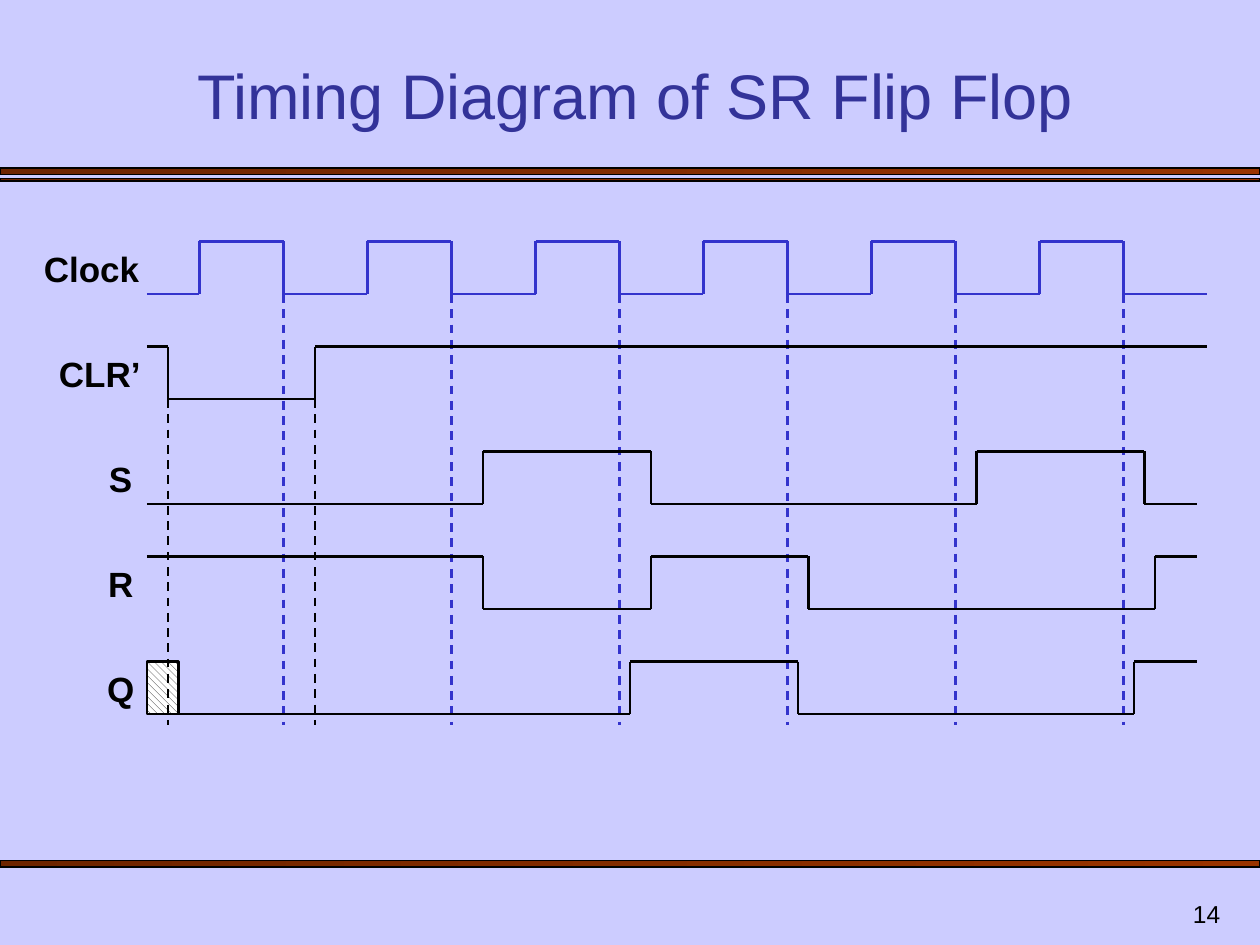
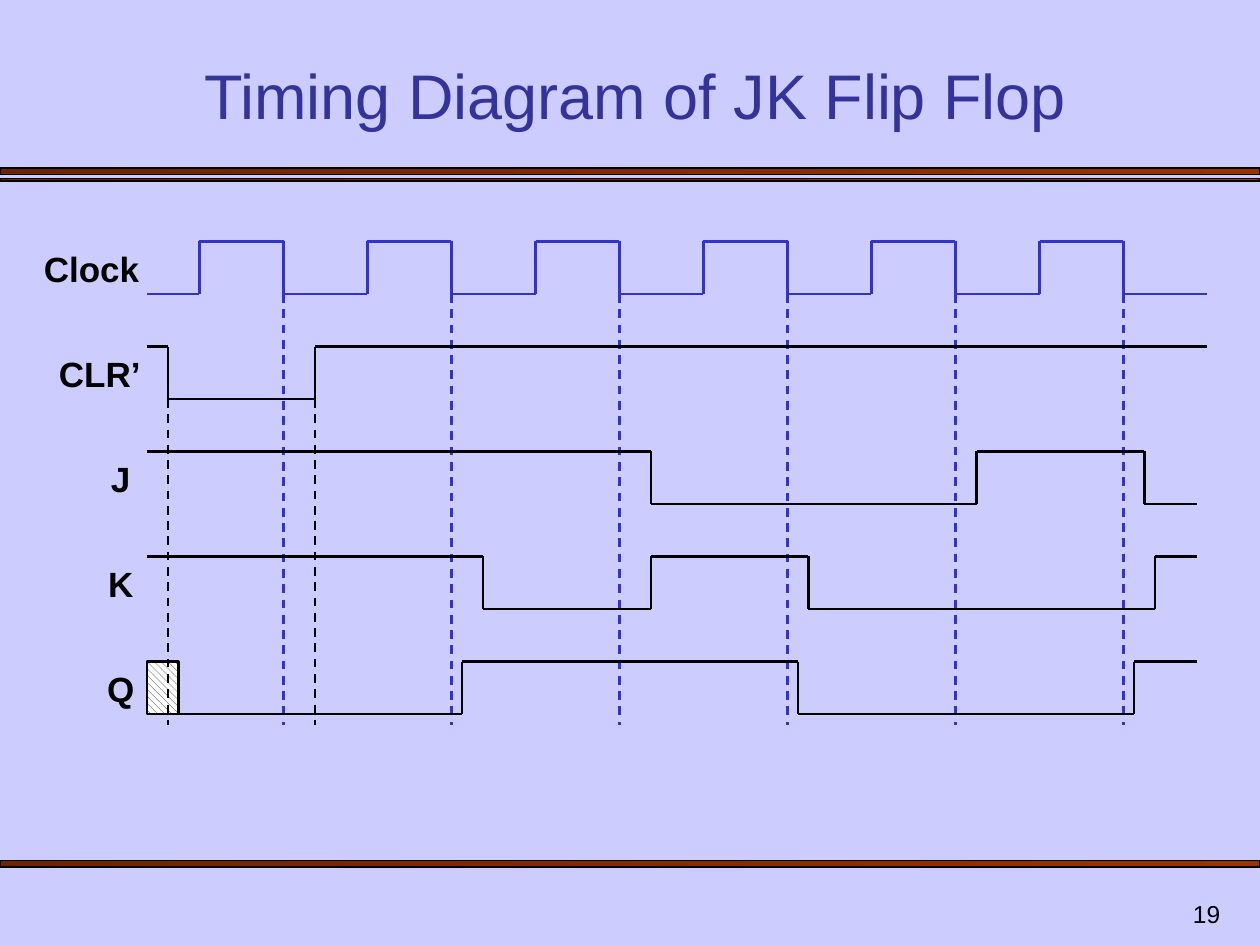
"""Build two slides with the timing diagrams of the SR and JK flip flops."""
from lxml.etree import SubElement
from pptx import Presentation
from pptx.dml.color import RGBColor
from pptx.enum.dml import MSO_LINE, MSO_PATTERN
from pptx.enum.shapes import MSO_CONNECTOR, MSO_SHAPE
from pptx.enum.text import MSO_ANCHOR, MSO_AUTO_SIZE, PP_ALIGN
from pptx.oxml.ns import qn
from pptx.util import Cm, Pt

COLORS = {
    "background": "CCCCFF",
    "title": "333399",
    "clock": "3333CC",
    "ink": "000000",
    "band_start": "6D2400",
    "band_end": "993300",
    "hatch": "1C1C1C",
    "paper": "FFFFFF",
}

SLIDE_WIDTH, SLIDE_HEIGHT = 25.4, 19.05
BANDS = [(3.39, 0.13), (3.6, 0.05), (17.35, 0.13)]
TITLE_BOX = (1.48, 1.06, 22.66, 1.73)
NUMBER_BOX = (19.56, 17.78, 5.29, 1.06)

UNIT = 2.54 / 12
START, FIRST_ROW, ROW_STEP, SWING = 14, 23, 10, 5
GUIDE_END = 69
UNKNOWN_WIDTH = 3
LABEL_HEIGHT = 1.1

CLOCK_EDGES = list(range(19, 108, 8))
CLEAR_EDGES = [16, 30]
HIGH, LOW = True, False

CLOCK = ("Clock", LOW, CLOCK_EDGES, 115)
CLEAR = ("CLR’", HIGH, CLEAR_EDGES, 115)
RESET_EDGES = [46, 62, 77, 110]

SLIDES = [
    {
        "title": "Timing Diagram of SR Flip Flop",
        "number": "14",
        "signals": [
            CLOCK,
            CLEAR,
            ("S", LOW, [46, 62, 93, 109], 114),
            ("R", HIGH, RESET_EDGES, 114),
            ("Q", LOW, [60, 76, 108], 114),
        ],
    },
    {
        "title": "Timing Diagram of JK Flip Flop",
        "number": "19",
        "signals": [
            CLOCK,
            CLEAR,
            ("J", HIGH, [62, 93, 109], 114),
            ("K", HIGH, RESET_EDGES, 114),
            ("Q", LOW, [44, 76, 108], 114),
        ],
    },
]

LABEL_SPANS = {"Clock": (3, 12), "CLR’": (4, 11)}
DEFAULT_SPAN = (8, 7)

TITLE_STYLE = {
    "color": "title",
    "font": {"name": "Arial", "size": Pt(36)},
    "paragraph": {"alignment": PP_ALIGN.CENTER},
    "frame": {"word_wrap": True, "vertical_anchor": MSO_ANCHOR.BOTTOM},
}
NUMBER_STYLE = {
    "color": "ink",
    "font": {"name": "Arial", "size": Pt(14)},
    "paragraph": {"alignment": PP_ALIGN.RIGHT},
    "frame": {"word_wrap": True, "vertical_anchor": MSO_ANCHOR.BOTTOM},
}
LABEL_STYLE = {
    "color": "ink",
    "font": {"name": "Arial", "size": Pt(20), "bold": True},
    "paragraph": {"alignment": PP_ALIGN.CENTER},
    "frame": {"word_wrap": True, "auto_size": MSO_AUTO_SIZE.SHAPE_TO_FIT_TEXT},
}
CLOCK_LABEL_STYLE = {**LABEL_STYLE, "paragraph": {"alignment": PP_ALIGN.LEFT}}
SOLID = {"width": Pt(1.25)}
DASHED = {**SOLID, "dash_style": MSO_LINE.DASH}


def rgb(color):
    return RGBColor.from_string(COLORS[color])


def grid(*units):
    return [Cm(unit * UNIT) for unit in units]


def apply(target, values):
    for attribute, value in values.items():
        setattr(target, attribute, value)


def add_text(slide, text, box, style):
    frame = slide.shapes.add_textbox(*box).text_frame
    paragraph = frame.paragraphs[0]
    run = paragraph.add_run()
    run.text = text
    apply(frame, style["frame"])
    apply(paragraph, style["paragraph"])
    apply(run.font, style["font"])
    run.font.color.rgb = rgb(style["color"])


def add_rectangle(slide, box, line_width):
    rectangle = slide.shapes.add_shape(MSO_SHAPE.RECTANGLE, *box)
    rectangle.shadow.inherit = False
    rectangle.line.color.rgb = rgb("ink")
    rectangle.line.width = line_width
    return rectangle


def add_line(slide, begin, end, color, line_style):
    line = slide.shapes.add_connector(MSO_CONNECTOR.STRAIGHT, *grid(*begin, *end))
    line.line.color.rgb = rgb(color)
    apply(line.line, line_style)
    SubElement(line._element.spPr, qn("a:effectLst"))


def add_frame(slide, title, number):
    slide.background.fill.solid()
    slide.background.fill.fore_color.rgb = rgb("background")
    for top, height in BANDS:
        box = (0, Cm(top), Cm(SLIDE_WIDTH), Cm(height))
        fill = add_rectangle(slide, box, Pt(0.75)).fill
        fill.gradient()
        fill.gradient_angle = 0
        for stop, color in zip(fill.gradient_stops, ("band_start", "band_end")):
            stop.color.rgb = rgb(color)
    add_text(slide, number, [Cm(length) for length in NUMBER_BOX], NUMBER_STYLE)
    add_text(slide, title, [Cm(length) for length in TITLE_BOX], TITLE_STYLE)


def add_unknown_state(slide, top):
    fill = add_rectangle(slide, grid(START, top, UNKNOWN_WIDTH, SWING), Pt(1.25)).fill
    fill.patterned()
    fill.pattern = MSO_PATTERN.WIDE_DOWNWARD_DIAGONAL
    fill.fore_color.rgb = rgb("hatch")
    fill.back_color.rgb = rgb("paper")


def add_signal(slide, top, signal):
    name, level, edges, end = signal
    color = "clock" if name == "Clock" else "ink"
    left, width = LABEL_SPANS.get(name, DEFAULT_SPAN)
    style = CLOCK_LABEL_STYLE if name == "Clock" else LABEL_STYLE
    add_text(slide, name, [*grid(left, top, width), Cm(LABEL_HEIGHT)], style)

    heights = {HIGH: top, LOW: top + SWING}
    points = [(START, heights[level])]
    for edge in edges:
        points.append((edge, heights[level])) 
        level = not level
        points.append((edge, heights[level]))
    points.append((end, heights[level]))
    for begin, finish in zip(points, points[1:]):
        add_line(slide, begin, finish, color, SOLID)


def add_guides(slide):
    clock_bottom = FIRST_ROW + SWING
    guides = [
        (CLOCK_EDGES[1::2], clock_bottom, "clock"),
        (CLEAR_EDGES, clock_bottom + ROW_STEP, "ink"),
    ]
    for edges, top, color in guides:
        for edge in edges:
            add_line(slide, (edge, top), (edge, GUIDE_END), color, DASHED)


def main():
    deck = Presentation()
    deck.slide_width, deck.slide_height = Cm(SLIDE_WIDTH), Cm(SLIDE_HEIGHT)
    for content in SLIDES:
        slide = deck.slides.add_slide(deck.slide_layouts[6])
        add_frame(slide, content["title"], content["number"])
        signals = content["signals"]
        add_unknown_state(slide, FIRST_ROW + ROW_STEP * (len(signals) - 1))
        add_guides(slide)
        for row, signal in enumerate(signals):
            add_signal(slide, FIRST_ROW + ROW_STEP * row, signal)
    deck.save("out.pptx")


if __name__ == "__main__":
    main()
